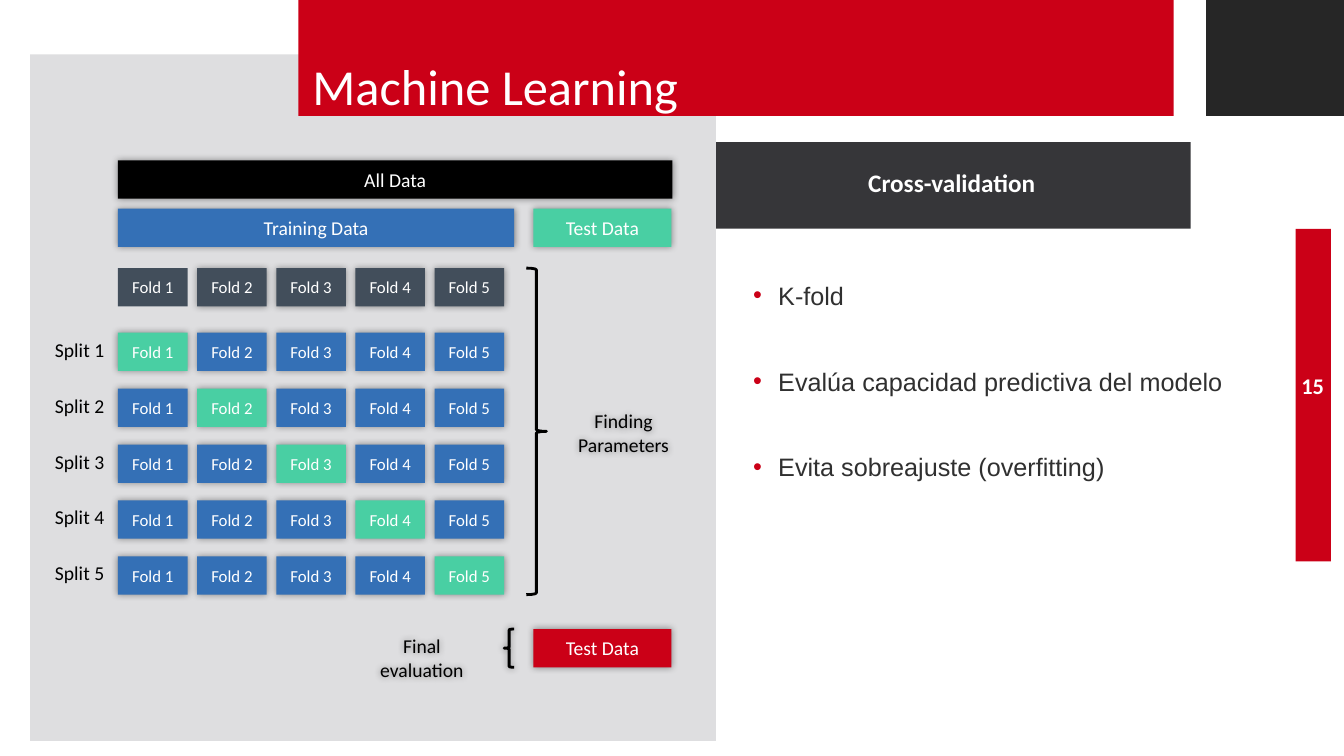
from lxml import etree
from pptx import Presentation
from pptx.dml.color import RGBColor
from pptx.enum.shapes import MSO_SHAPE
from pptx.enum.text import MSO_ANCHOR, PP_ALIGN
from pptx.oxml.ns import qn
from pptx.util import Inches, Pt

RECTANGLE, LEFT_BRACE, RIGHT_BRACE = MSO_SHAPE.RECTANGLE, MSO_SHAPE.LEFT_BRACE, MSO_SHAPE.RIGHT_BRACE
TOP, MIDDLE, BOTTOM = MSO_ANCHOR.TOP, MSO_ANCHOR.MIDDLE, MSO_ANCHOR.BOTTOM
LEFT, CENTER = PP_ALIGN.LEFT, PP_ALIGN.CENTER

COLORS = {
    "red": "CB0017", "charcoal": "363639", "dark": "262626", "panel": "DEDEE0",
    "white": "FFFFFF", "black": "000000", "text": "303030",
    "blue": "3470B6", "green": "49CFA3", "slate": "424E5B",
}
FOLD_COUNT = 5
FOLD_LEFT, LAST_FOLD_LEFT = 1.17, 4.31
SPLIT_TOP, LAST_SPLIT_TOP = 3.3, 5.52
FOLD_WIDTH, BAR_HEIGHT = 0.69, 0.38
HEADER_TOP = 2.66
POINTS = ("K-fold", "Evalúa capacidad predictiva del modelo", "Evita sobreajuste (overfitting)")


def rgb(name):
    """Return the named palette colour."""
    return RGBColor.from_string(COLORS[name])


def add_glow_shadow(shape):
    """Give a shape a soft black shadow without offset."""
    shape_properties = shape._element.spPr
    for old_effects in shape_properties.findall(qn("a:effectLst")):
        shape_properties.remove(old_effects)
    effects = etree.SubElement(shape_properties, qn("a:effectLst"))
    shadow = etree.SubElement(effects, qn("a:outerShdw"), blurRad=str(Pt(5)), dist="0", dir="0")
    color = etree.SubElement(shadow, qn("a:srgbClr"), val=COLORS["black"])
    etree.SubElement(color, qn("a:alpha"), val="40000")


def add_bullet(paragraph):
    """Give a paragraph a red bullet with a hanging indent."""
    properties = paragraph._p.get_or_add_pPr()
    properties.set("marL", str(Inches(0.25)))
    properties.set("indent", str(-Inches(0.25)))
    bullet_color = etree.SubElement(properties, qn("a:buClr"))
    etree.SubElement(bullet_color, qn("a:srgbClr"), val=COLORS["red"])
    etree.SubElement(properties, qn("a:buFont"), typeface="Arial")
    etree.SubElement(properties, qn("a:buChar"), char="•")


def write_text(shape, text, size, color, font="Calibri", bold=False, align=CENTER, anchor=MIDDLE):
    """Fill a shape with uniformly formatted text."""
    text_frame = shape.text_frame
    text_frame.word_wrap = True
    text_frame.vertical_anchor = anchor
    text_frame.text = text
    for paragraph in text_frame.paragraphs:
        paragraph.alignment = align
        for run in paragraph.runs:
            run.font.name = font
            run.font.size = Pt(size)
            run.font.bold = bold
            run.font.color.rgb = rgb(color)


def add_block(slide, left, top, width, height, color):
    """Add a plain filled rectangle."""
    shape = slide.shapes.add_shape(RECTANGLE, Inches(left), Inches(top), Inches(width), Inches(height))
    shape.shadow.inherit = False
    shape.fill.solid()
    shape.fill.fore_color.rgb = rgb(color)
    shape.line.fill.background()
    return shape


def add_bar(slide, left, top, width, color, text, size=14, shadow=True):
    """Add a labelled data bar."""
    bar = add_block(slide, left, top, width, BAR_HEIGHT, color)
    bar.text_frame.margin_left = bar.text_frame.margin_right = Inches(0.05)
    write_text(bar, text, size, "white")
    if shadow:
        add_glow_shadow(bar)


def add_text(slide, left, top, width, height, text, size, color, **style):
    """Add a text box and return it."""
    box = slide.shapes.add_textbox(Inches(left), Inches(top), Inches(width), Inches(height))
    write_text(box, text, size, color, **style)
    return box


def add_brace(slide, kind, left, top, width, height):
    """Add a black brace."""
    brace = slide.shapes.add_shape(kind, Inches(left), Inches(top), Inches(width), Inches(height))
    brace.shadow.inherit = False
    brace.fill.background()
    brace.line.color.rgb = rgb("black")
    brace.line.width = Pt(2)
    return brace


def add_frame(slide):
    """Add the coloured areas, the title and the slide number."""
    for block in (
        (7.1, 1.41, 4.71, 0.86, "charcoal"),
        (0.3, 0.54, 6.8, 6.81, "panel"),
        (12.85, 2.27, 0.35, 3.3, "red"),
        (2.96, 0, 9.64, 1.15, "red"),
        (11.96, 0, 1.37, 1.15, "dark"),
        (11.64, 0, 0.32, 1.15, "white"),
    ):
        add_block(slide, *block)
    add_text(slide, 12.65, 3.63, 0.74, 0.4, "15", 16, "white", bold=True)
    title = add_text(slide, 3, 0.5, 7.8, 0.7, "Machine Learning", 36, "white", align=LEFT, anchor=BOTTOM)
    title.text_frame.paragraphs[0].line_spacing = Pt(36)


def add_points(slide):
    """Add the heading and bullet list on the right."""
    heading = add_text(slide, 7.17, 1.66, 4.54, 0.7, "Cross-validation", 18, "white", bold=True, anchor=TOP)
    heading.text_frame.paragraphs[0].line_spacing = Pt(18.1)
    heading.text_frame.paragraphs[0].space_before = Pt(18)
    body = add_text(slide, 7.37, 2.43, 5.28, 4.35, "\n".join(POINTS), 18, "text",
                    font="Arial", align=LEFT, anchor=TOP)
    for paragraph in body.text_frame.paragraphs:
        paragraph.line_spacing = 2.0
        paragraph.space_before = Pt(18)
        add_bullet(paragraph)


def add_folds(slide):
    """Add the header folds and the grid of splits with its diagonal test folds."""
    column_step = (LAST_FOLD_LEFT - FOLD_LEFT) / (FOLD_COUNT - 1)
    row_step = (LAST_SPLIT_TOP - SPLIT_TOP) / (FOLD_COUNT - 1)
    for column in range(FOLD_COUNT):
        left = FOLD_LEFT + column * column_step
        name = f"Fold {column + 1}"
        add_bar(slide, left, HEADER_TOP, FOLD_WIDTH, "slate", name, 12, shadow=column > 0)
        for row in range(FOLD_COUNT):
            color = "green" if row == column else "blue"
            add_bar(slide, left, SPLIT_TOP + row * row_step, FOLD_WIDTH, color, name, 12)
    for row in range(FOLD_COUNT):
        label = add_text(slide, 0.44, SPLIT_TOP + row * row_step, 0.7, 0.34,
                         f"Split {row + 1}", 14, "black", anchor=TOP)
        label.text_frame.margin_left = label.text_frame.margin_right = 0


def add_diagram(slide):
    """Add the cross-validation diagram."""
    add_bar(slide, FOLD_LEFT, 1.59, 5.5, "black", "All Data")
    add_bar(slide, FOLD_LEFT, 2.07, 3.93, "blue", "Training Data")
    add_bar(slide, 5.29, 2.07, 1.37, "green", "Test Data")
    add_folds(slide)
    add_brace(slide, RIGHT_BRACE, 5.22, HEADER_TOP, 0.2, 3.24)
    add_bar(slide, 5.29, 6.24, 1.37, "red", "Test Data")
    add_glow_shadow(add_brace(slide, LEFT_BRACE, 5, 6.24, 0.1, BAR_HEIGHT))
    for left, top, width, text in ((5.5, 4.01, 1.37, "Finding Parameters"),
                                   (3.47, 6.24, 1.43, "Final evaluation")):
        add_glow_shadow(add_text(slide, left, top, width, 0.57, text, 14, "black", anchor=TOP))


def main():
    """Build and save the slide."""
    presentation = Presentation()
    presentation.slide_width = Inches(13.33)
    presentation.slide_height = Inches(7.5)
    slide = presentation.slides.add_slide(presentation.slide_layouts[6])
    add_frame(slide)
    add_points(slide)
    add_diagram(slide)
    presentation.save("out.pptx")


if __name__ == "__main__":
    main()
